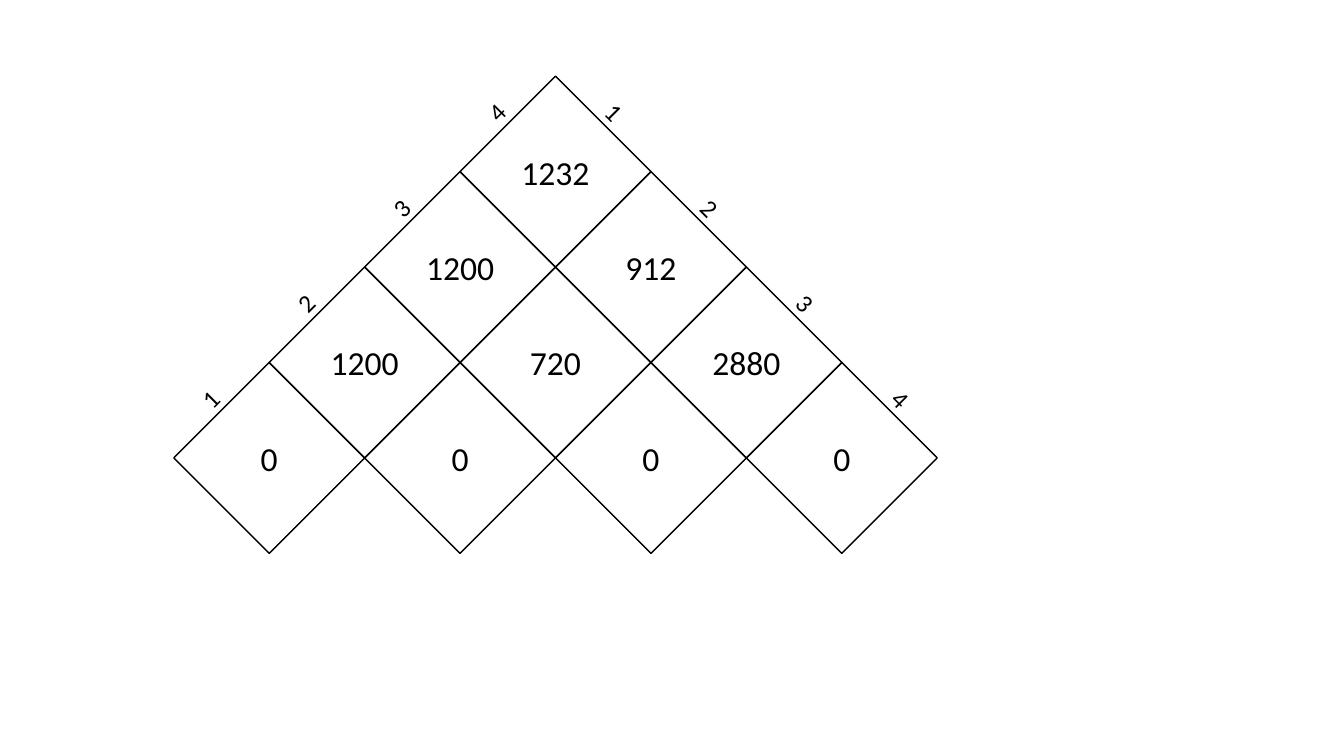
"""Build a slide with a triangular cost table of matrix-chain products."""
from pptx import Presentation
from pptx.dml.color import RGBColor
from pptx.enum.shapes import MSO_SHAPE
from pptx.enum.text import MSO_ANCHOR, PP_ALIGN
from pptx.util import Cm, Pt

COLOURS = {"ink": "000000"}
FONT = "Calibri"
COST_ROWS = [
    ["1232"],
    ["1200", "912"],
    ["1200", "720", "2880"],
    ["0", "0", "0", "0"],
]
CELL = 4.81
STEP = CELL / 2
APEX_X, APEX_Y = 14.0, 1.92
INDEX_WIDTH, INDEX_HEIGHT = 3.33, 0.76
INDEX_OFFSET, INDEX_Y = 1.49, 2.83


def box_around(x, y, width, height):
    """Return left, top, width and height of a box centred on a point in cm."""
    return Cm(x - width / 2), Cm(y - height / 2), Cm(width), Cm(height)


def write_centred(frame, text, size):
    """Write one centred line of text into a text frame."""
    frame.word_wrap = True
    frame.vertical_anchor = MSO_ANCHOR.MIDDLE
    frame.margin_left = frame.margin_right = 0
    frame.margin_top = frame.margin_bottom = 0
    frame.text = text
    line = frame.paragraphs[0]
    line.alignment = PP_ALIGN.CENTER
    font = line.runs[0].font
    font.name = FONT
    font.size = Pt(size)
    font.color.rgb = RGBColor.from_string(COLOURS["ink"])


def add_cost_cell(table, x, y, cost):
    """Add a diamond cell that holds a cost."""
    cell = table.shapes.add_shape(MSO_SHAPE.DIAMOND, *box_around(x, y, CELL, CELL))
    cell.shadow.inherit = False
    cell.fill.background()
    cell.line.color.rgb = RGBColor.from_string(COLOURS["ink"])
    cell.line.width = Pt(1)
    write_centred(cell.text_frame, cost, 24)


def add_index(side, x, y, number, angle):
    """Add a rotated index beside an outer edge."""
    index = side.shapes.add_textbox(*box_around(x, y, INDEX_WIDTH, INDEX_HEIGHT))
    index.rotation = angle
    write_centred(index.text_frame, str(number), 18)


def add_cost_table(slide):
    """Add the triangle of cost cells, base row first."""
    table = slide.shapes.add_group_shape()
    for row, costs in reversed(list(enumerate(COST_ROWS))):
        for column, cost in enumerate(costs):
            x = APEX_X + (2 * column - row) * STEP
            y = APEX_Y + (row + 1) * STEP
            add_cost_cell(table, x, y, cost)


def add_index_side(slide, direction, numbers, angle):
    """Add the indices down one edge; direction is -1 for left, 1 for right."""
    side = slide.shapes.add_group_shape()
    for row, number in enumerate(numbers):
        x = APEX_X + direction * (INDEX_OFFSET + row * STEP)
        add_index(side, x, INDEX_Y + row * STEP, number, angle)


def main():
    """Create the presentation and save it."""
    presentation = Presentation()
    presentation.slide_width = Cm(33.87)
    presentation.slide_height = Cm(19.05)
    slide = presentation.slides.add_slide(presentation.slide_layouts[6])
    size = len(COST_ROWS)
    add_cost_table(slide)
    add_index_side(slide, -1, range(size, 0, -1), 315)
    add_index_side(slide, 1, range(1, size + 1), 45)
    presentation.save("out.pptx")


if __name__ == "__main__":
    main()
